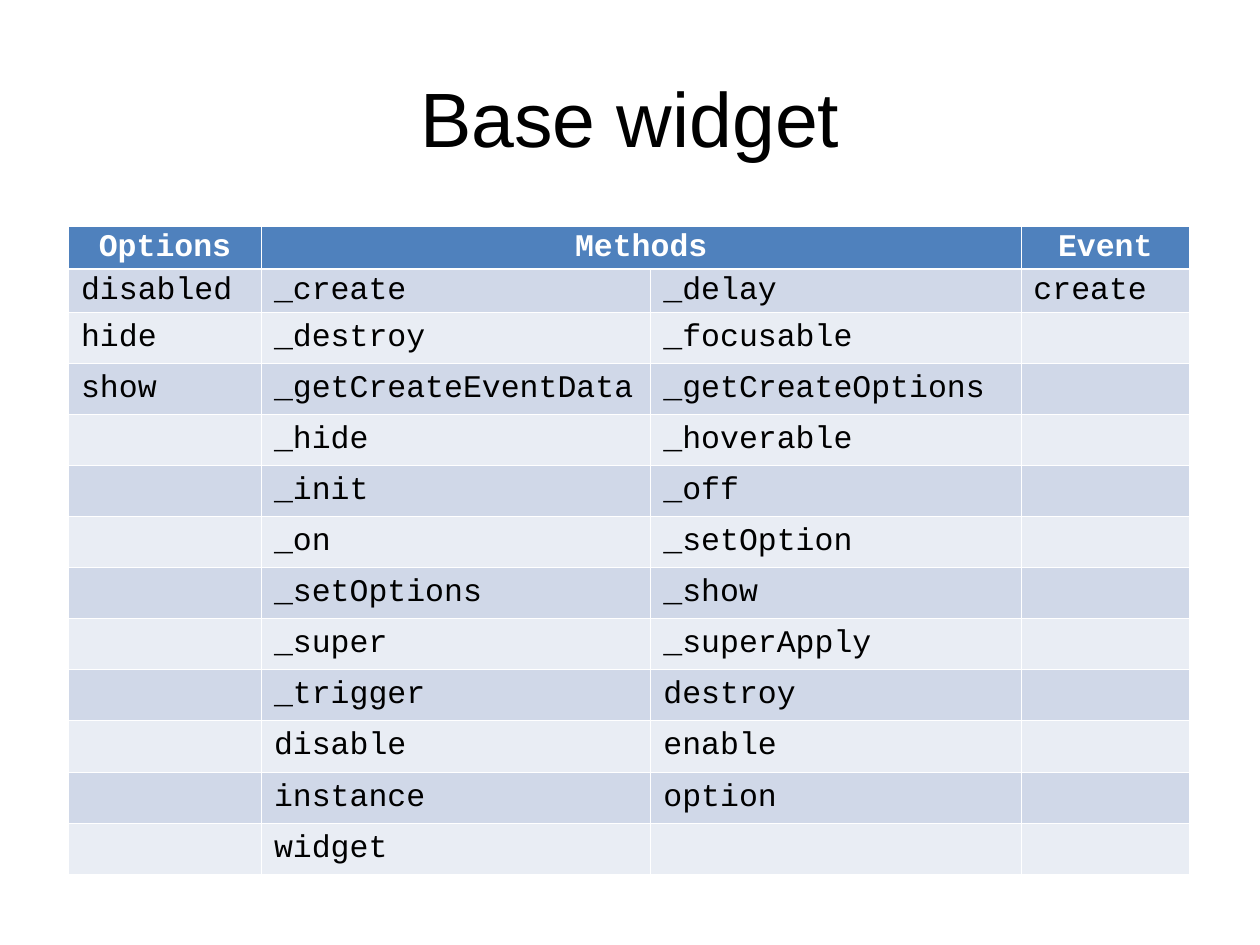
from lxml import etree
from pptx import Presentation
from pptx.dml.color import RGBColor
from pptx.enum.text import MSO_ANCHOR, PP_ALIGN
from pptx.oxml.ns import qn
from pptx.util import Cm, Pt

CENTER, LEFT = PP_ALIGN.CENTER, PP_ALIGN.LEFT
MIDDLE = MSO_ANCHOR.MIDDLE

THEME = {
    "title": {"name": "Arial", "size": Pt(44), "color": "000000"},
    "header": {"name": "Courier New", "size": Pt(18), "bold": True, "color": "FFFFFF"},
    "body": {"name": "Courier New", "size": Pt(18), "bold": False, "color": "000000"},
    "header_fill": "4F81BD",
    "bands": ["E9EDF4", "D0D8E8"],
    "border": "FFFFFF",
    "thin": Pt(0.45),
    "thick": Pt(1.47),
}

HEADERS = ["Options", "Methods", "", "Event"]
OPTIONS = ["disabled", "hide", "show"]
METHODS = [
    "_create", "_delay", "_destroy", "_focusable",
    "_getCreateEventData", "_getCreateOptions", "_hide", "_hoverable",
    "_init", "_off", "_on", "_setOption", "_setOptions", "_show",
    "_super", "_superApply", "_trigger", "destroy",
    "disable", "enable", "instance", "option", "widget",
]
EVENTS = ["create"]
COL_WIDTHS = [3.89, 7.85, 7.46, 3.4]
COLUMNS = [OPTIONS, METHODS[::2], METHODS[1::2], EVENTS]
N_ROWS = 1 + max(len(column) for column in COLUMNS)
ROW_HEIGHTS = [0.86] * 2 + [1.02] * (N_ROWS - 2)


def write(p, text, style, align):
    p.alignment = align
    r = p.add_run()
    r.text = text
    for key, value in style.items():
        if key == "color":
            r.font.color.rgb = RGBColor.from_string(value)
        else:
            setattr(r.font, key, value)


def set_borders(cell, widths):
    """Draw the cell's lines; widths maps L, R, T and B, in that order."""
    tc_pr = cell._tc.get_or_add_tcPr()
    for side, width in widths.items():
        ln = etree.SubElement(tc_pr, qn(f"a:ln{side}"), w=str(int(width)))
        fill = etree.SubElement(ln, qn("a:solidFill"))
        etree.SubElement(fill, qn("a:srgbClr"), val=THEME["border"])


prs = Presentation()
prs.slide_width, prs.slide_height = Cm(25.4), Cm(19.05)
s = prs.slides.add_slide(prs.slide_layouts[5])

# Title
title = s.shapes.title
title.left, title.top, title.width, title.height = Cm(1.27), Cm(0.76), Cm(22.86), Cm(3.18)
title.text_frame.vertical_anchor = MIDDLE
write(title.text_frame.paragraphs[0], "Base widget", THEME["title"], CENTER)

# Table of options, methods and events
table = s.shapes.add_table(
    N_ROWS, len(COLUMNS), Cm(1.38), Cm(4.57), Cm(sum(COL_WIDTHS)), Cm(sum(ROW_HEIGHTS))
).table
for column, width in zip(table.columns, COL_WIDTHS):
    column.width = Cm(width)
for row, height in zip(table.rows, ROW_HEIGHTS):
    row.height = Cm(height)
table.cell(0, 1).merge(table.cell(0, 2))

for i in range(N_ROWS):
    is_header = i == 0
    style = THEME["header" if is_header else "body"]
    color = THEME["header_fill"] if is_header else THEME["bands"][i % 2]
    thin, thick = THEME["thin"], THEME["thick"]
    borders = {
        "L": thin,
        "R": thin,
        "T": thick if i == 1 else thin,
        "B": thick if is_header else thin,
    }
    for j, entries in enumerate(COLUMNS):
        cell = table.cell(i, j)
        set_borders(cell, borders)
        cell.fill.solid()
        cell.fill.fore_color.rgb = RGBColor.from_string(color)
        cell.vertical_anchor = MIDDLE
        text = HEADERS[j] if is_header else "".join(entries[i - 1:i])
        if text:
            p = cell.text_frame.paragraphs[0]
            p.line_spacing = 0.8
            write(p, text, style, CENTER if is_header else LEFT)

prs.save("out.pptx")
